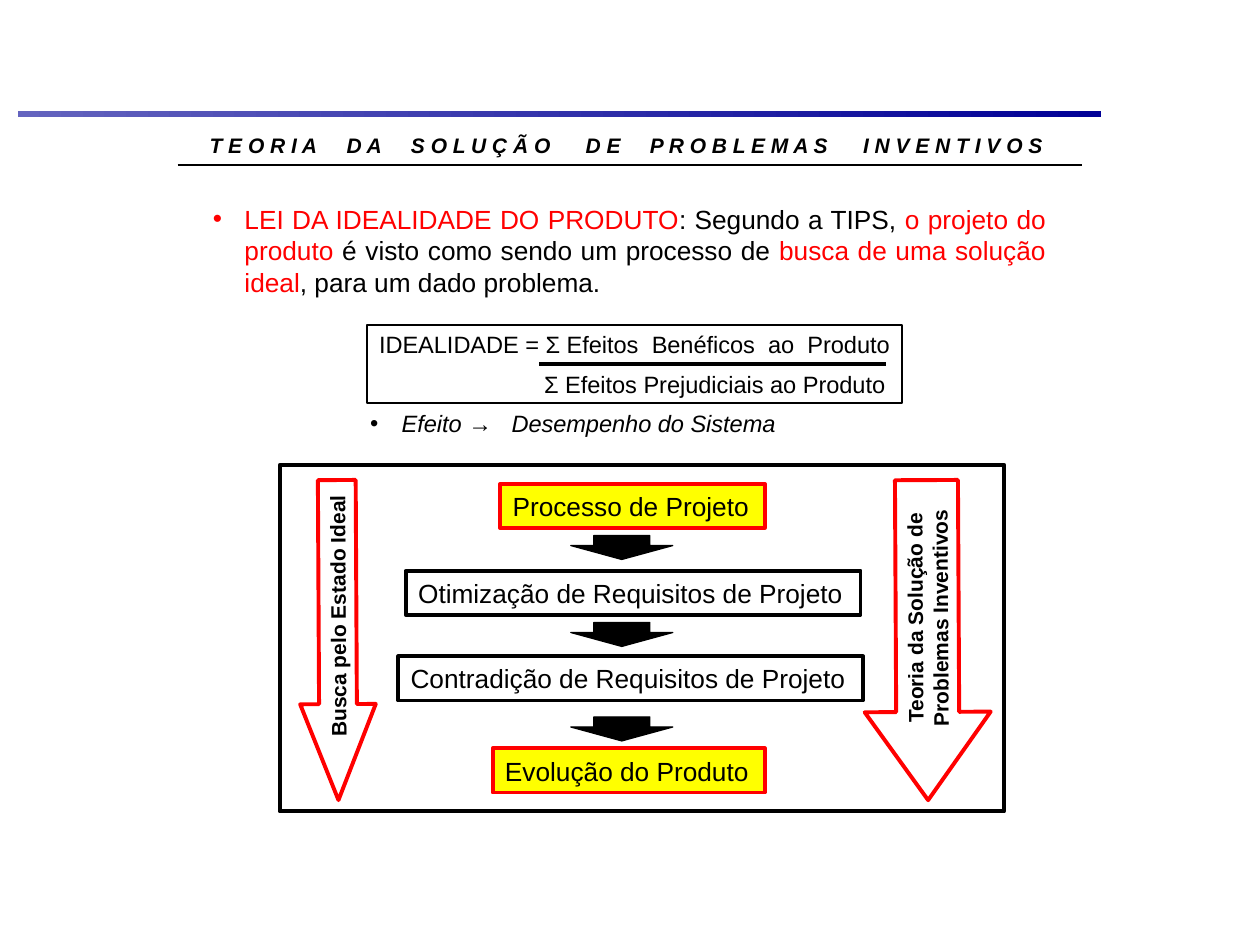
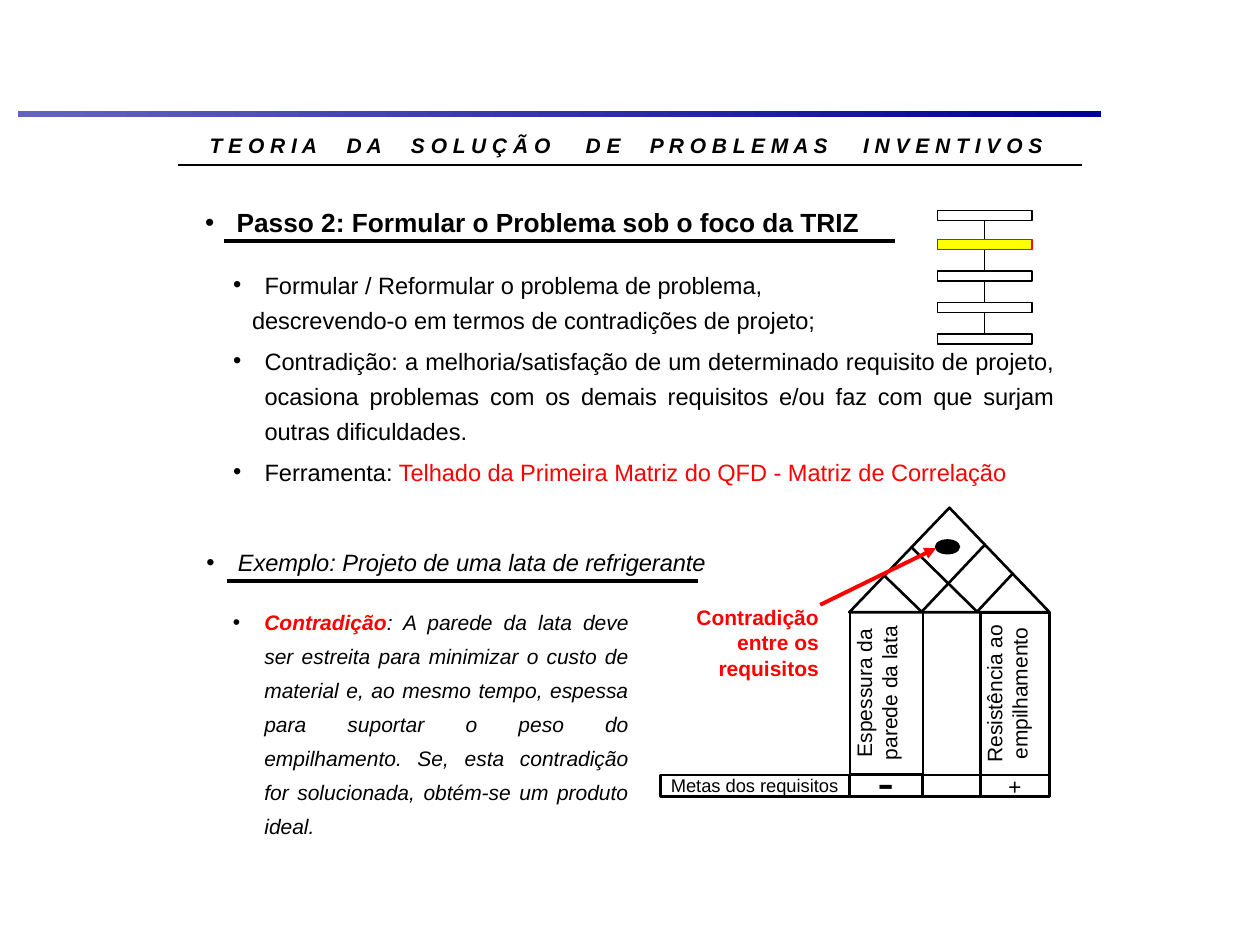
"""Build two slides on the theory of inventive problem solving."""
from lxml import etree
from pptx import Presentation
from pptx import util as u
from pptx.dml import color
from pptx.enum import shapes, text
from pptx.oxml import ns

BLACK, WHITE, RED, YELLOW = "000000", "FFFFFF", "FF0000", "FFFF00"
BAND_START, BAND_END = "6464BF", "000096"
LEFT, CENTER = text.PP_ALIGN.LEFT, text.PP_ALIGN.CENTER
RIGHT, JUSTIFY = text.PP_ALIGN.RIGHT, text.PP_ALIGN.JUSTIFY
TOP, MIDDLE = text.MSO_ANCHOR.TOP, text.MSO_ANCHOR.MIDDLE
SHAPE = shapes.MSO_SHAPE
FULL_INSETS, THIN_INSETS = (0.1, 0.05), (0.01, 0.01)
TITLE_WORDS = ["TEORIA", "DA", "SOLUÇÃO", "DE", "PROBLEMAS", "INVENTIVOS"]
TITLE_GAPS = [13.3, 13.3, 16.7, 13.3, 16.7]


def rgb(value):
    return color.RGBColor.from_string(value)


def inches(*values):
    return [u.Inches(value) for value in values]


def place(shape, box):
    shape.left, shape.top, shape.width, shape.height = inches(*box)


def set_bullet(paragraph, bullet, margin, indent, bullet_color=None):
    """Indent the paragraph and give it a bullet, or none."""
    properties = paragraph._p.get_or_add_pPr()
    properties.set("marL", str(u.Inches(margin)))
    properties.set("indent", str(u.Inches(indent)))
    if not bullet:
        etree.SubElement(properties, ns.qn("a:buNone"))
        return
    if bullet_color:
        holder = etree.SubElement(properties, ns.qn("a:buClr"))
        etree.SubElement(holder, ns.qn("a:srgbClr"), val=bullet_color)
    etree.SubElement(properties, ns.qn("a:buFont"), typeface="Arial")
    etree.SubElement(properties, ns.qn("a:buChar"), char=bullet)


def style(paragraph, size, font_color=BLACK, bold=False, italic=False,
          align=LEFT, name="Arial", spacing=None, before=0):
    paragraph.alignment = align
    paragraph.space_before = u.Pt(before)
    if spacing:
        paragraph.line_spacing = spacing
    font = paragraph.font
    font.name, font.size, font.bold, font.italic = name, u.Pt(size), bold, italic
    font.color.rgb = rgb(font_color)


def write_runs(paragraph, runs):
    """Write plain text, or (text, colour) pairs."""
    if isinstance(runs, str):
        paragraph.add_run().text = runs
        return
    for content, run_color in runs:
        run = paragraph.add_run()
        run.text = content
        run.font.color.rgb = rgb(run_color)


def write_spread(paragraph, words, gaps):
    """Write words whose separating spaces are widened by the gaps in points."""
    for index, word in enumerate(words):
        if index:
            space = paragraph.add_run()
            space.text = " "
            space._r.get_or_add_rPr().set("spc", str(round(gaps[index - 1] * 100)))
        paragraph.add_run().text = word


def write_bullet(paragraph, runs, size, bullet="•", margin=0.25, indent=-0.25,
                 bullet_color=None, **options):
    set_bullet(paragraph, bullet, margin, indent, bullet_color)
    style(paragraph, size, align=JUSTIFY, **options)
    write_runs(paragraph, runs)


def set_frame(shape, insets=FULL_INSETS, anchor=TOP, wrap=True):
    frame = shape.text_frame
    frame.auto_size = text.MSO_AUTO_SIZE.NONE
    frame.word_wrap = wrap
    frame.vertical_anchor = anchor
    frame.margin_left = frame.margin_right = u.Inches(insets[0])
    frame.margin_top = frame.margin_bottom = u.Inches(insets[1])
    return frame


def add_text(slide, box, insets=FULL_INSETS, wrap=True):
    """Add an empty text box and return its frame."""
    return set_frame(slide.shapes.add_textbox(*inches(*box)), insets, wrap=wrap)


def add_bullet_text(slide, box, runs, size, **options):
    write_bullet(add_text(slide, box).paragraphs[0], runs, size, **options)


def add_shape(slide, box, kind=SHAPE.RECTANGLE, fill=WHITE, line=BLACK,
              width=1.5, rotation=0, adjustments=()):
    shape = slide.shapes.add_shape(kind, *inches(*box))
    shape.shadow.inherit = False
    shape.rotation = rotation
    for index, value in enumerate(adjustments):
        shape.adjustments[index] = value
    if fill:
        shape.fill.solid()
        shape.fill.fore_color.rgb = rgb(fill)
    else:
        shape.fill.background()
    if line:
        shape.line.color.rgb = rgb(line)
        shape.line.width = u.Pt(width)
    else:
        shape.line.fill.background()
    return shape


def add_label(shape, content, size, insets=FULL_INSETS, anchor=MIDDLE,
              wrap=True, **options):
    paragraph = set_frame(shape, insets, anchor, wrap).paragraphs[0]
    style(paragraph, size, **options)
    write_runs(paragraph, content)


def add_line(slide, start, end, width=1.5, line_color=BLACK, arrow=False):
    line = slide.shapes.add_connector(
        shapes.MSO_CONNECTOR.STRAIGHT, *inches(*start, *end))
    line.line.color.rgb = rgb(line_color)
    line.line.width = u.Pt(width)
    properties = line._element.spPr
    if arrow:
        etree.SubElement(properties.find(ns.qn("a:ln")), ns.qn("a:tailEnd"),
                         type="triangle")
    etree.SubElement(properties, ns.qn("a:effectLst"))
    return line


def add_frame_to_layout(slide):
    """Put the gradient band and the title rule on the slide's layout."""
    band = add_shape(slide, (0.14, 0.88, 8.6, 0.05), line=None)
    band.fill.gradient()
    band.fill.gradient_angle = 0
    for stop, stop_color in zip(band.fill.gradient_stops, (BAND_START, BAND_END)):
        stop.color.rgb = rgb(stop_color)
    rule = add_line(slide, (1.41, 1.31), (8.59, 1.31), 0.75)
    for number, shape in enumerate((band, rule), 101):
        shape._element.xpath(".//p:cNvPr")[0].set("id", str(number))
        slide.slide_layout.shapes._spTree.append(shape._element)


def add_slide(presentation, body_box):
    """Add a slide with its title and return it with the body frame."""
    slide = presentation.slides.add_slide(presentation.slide_layouts[1])
    title, body = slide.shapes.title, slide.placeholders[1]
    place(title, (1.47, 1, 7, 0.3))
    place(body, body_box)
    paragraph = set_frame(title).paragraphs[0]
    style(paragraph, 12, bold=True, italic=True, align=CENTER)
    write_spread(paragraph, [" ".join(word) for word in TITLE_WORDS], TITLE_GAPS)
    return slide, set_frame(body)


def add_ideality_formula(slide):
    numerator = add_text(slide, (2.91, 2.57, 4.31, 0.33), wrap=False).paragraphs[0]
    style(numerator, 13.5)
    write_spread(numerator, ["IDEALIDADE = Σ Efeitos", "Benéficos", "ao", "Produto"],
                 [3.75] * 3)
    denominator = add_text(slide, (4.22, 2.89, 2.94, 0.33)).paragraphs[0]
    style(denominator, 13.5)
    write_runs(denominator, "Σ Efeitos Prejudiciais ao Produto")
    add_line(slide, (4.28, 2.89), (7.03, 2.89), 2.25)
    add_shape(slide, (2.91, 2.58, 4.25, 0.62), fill=None, width=1)
    effect = add_text(slide, (2.84, 3.2, 4, 0.33)).paragraphs[0]
    set_bullet(effect, "•", 0.25, -0.25)
    style(effect, 13.5, italic=True, align=JUSTIFY)
    write_spread(effect, ["Efeito →", "Desempenho do Sistema"], [7.5])


def add_design_process(slide):
    """Draw the framed flow of design steps between two long arrows."""
    add_shape(slide, (2.22, 3.69, 5.75, 2.75), width=2.25)
    steps = [
        ("Processo de Projeto", 3.97, 3.84, 2.1, YELLOW, RED),
        ("Otimização de Requisitos de Projeto", 3.22, 4.53, 3.61, WHITE, BLACK),
        ("Contradição de Requisitos de Projeto", 3.16, 5.21, 3.69, WHITE, BLACK),
        ("Evolução do Produto", 3.91, 5.94, 2.16, YELLOW, RED),
    ]
    for content, left, top, width, fill, line in steps:
        step = add_shape(slide, (left, top, width, 0.35), fill=fill, line=line,
                         width=2.25)
        add_label(step, content, 15, wrap=False)
    long_arrows = [
        ("Busca pelo Estado Ideal", (1.41, 4.78, 2.54, 0.6), 1.27),
        ("Teoria da Solução de Problemas Inventivos", (6.09, 4.58, 2.54, 1), 0.7),
    ]
    for content, box, head in long_arrows:
        arrow = add_shape(slide, box, SHAPE.LEFT_ARROW, line=RED, width=2.25,
                          rotation=269.7, adjustments=(0.5, head))
        add_label(arrow, content, 12, bold=True, align=CENTER)
    for top in (4.25, 4.94, 5.69):
        add_shape(slide, (4.53, top, 0.81, 0.19), SHAPE.DOWN_ARROW, fill=BLACK,
                  width=0.75, adjustments=(0.55, 0.58))


def add_step_tracker(slide):
    """Draw the five linked steps with the second one highlighted."""
    link = add_line(slide, (7.81, 1.75), (7.81, 2.65), 0.75)
    colors = [(None, BLACK), (YELLOW, RED)] + [(WHITE, BLACK)] * 3
    tops = [1.67] + [1.9 + 0.25 * index for index in range(4)]
    steps = [add_shape(slide, (7.44, top, 0.75, 0.08), fill=fill, line=line, width=1)
             for top, (fill, line) in zip(tops, colors)]
    link.begin_connect(steps[0], 2)
    link.end_connect(steps[-1], 0)


def add_correlation_roof(slide):
    """Draw the correlation matrix with its requirement columns and targets."""
    columns = [
        ("Espessura da parede da lata", (6.39, 5.21, 1.29, 0.58)),
        ("Resistência ao empilhamento", (7.41, 5.23, 1.29, 0.55)),
    ]
    for content, box in columns:
        column = add_shape(slide, box, rotation=270)
        add_label(column, content, 12, THIN_INSETS, TOP, align=CENTER)
    add_shape(slide, (6.74, 4.03, 1.59, 0.83), SHAPE.ISOSCELES_TRIANGLE)
    for start, end in [((7.32, 4.85), (7.82, 4.32)), ((7.75, 4.86), (8.04, 4.55)),
                       ((7.75, 4.85), (7.24, 4.35)), ((7.32, 4.86), (7.02, 4.57))]:
        add_line(slide, start, end)
    targets = [
        ("Metas dos requisitos", 5.24, 1.5, dict(size=10.5)),
        ("-", 6.74, 0.58,
         dict(size=27, name="Times New Roman", bold=True, spacing=0.75)),
        ("", 7.32, 0.5, None),
        ("+", 7.78, 0.55, dict(size=13.5, name="Times New Roman", bold=True)),
    ]
    for content, left, width, options in targets:
        target = add_shape(slide, (left, 6.15, width, 0.17))
        if content:
            add_label(target, content, insets=THIN_INSETS, align=CENTER, **options)
    add_shape(slide, (7.43, 4.29, 0.18, 0.1), SHAPE.OVAL, fill=BLACK)
    add_line(slide, (6.51, 4.8), (7.43, 4.35), 2.25, RED, arrow=True)
    frame = add_text(slide, (5.41, 4.8, 1.1, 0.47), (0.01, 0))
    for index, content in enumerate(("Contradição", "entre os", "requisitos")):
        paragraph = frame.add_paragraph() if index else frame.paragraphs[0]
        style(paragraph, 12, RED, bold=True, align=RIGHT)
        write_runs(paragraph, content)


def build_ideality_slide(presentation):
    slide, body = add_slide(presentation, (1.59, 1.56, 6.81, 0.86))
    add_frame_to_layout(slide)
    write_bullet(body.paragraphs[0], [
        ("LEI DA IDEALIDADE DO PRODUTO", RED), (": Segundo a TIPS, ", BLACK),
        ("o projeto do produto", RED),
        (" é visto como sendo um processo de ", BLACK),
        ("busca de uma solução ideal", RED), (", para um dado problema.", BLACK)], 15)
    add_ideality_formula(slide)
    add_design_process(slide)


def build_contradiction_slide(presentation):
    slide, body = add_slide(presentation, (1.75, 2.04, 6.72, 1.8))
    add_step_tracker(slide)
    add_bullet_text(slide, (1.53, 1.59, 5.71, 0.35),
                    "Passo 2: Formular o Problema sob o foco da TRIZ", 15, bold=True)
    add_line(slide, (1.78, 1.91), (7.1, 1.91), 2.25)
    items = [
        ("Formular / Reformular o problema de problema,", {}),
        ("descrevendo-o em termos de contradições de projeto;",
         dict(bullet=None, margin=0.15, indent=0)),
        ("Contradição: a melhoria/satisfação de um determinado requisito de projeto, "
         "ocasiona problemas com os demais requisitos e/ou faz com que surjam outras "
         "dificuldades.", dict(before=3)),
        ([("Ferramenta:", BLACK),
          (" Telhado da Primeira Matriz do QFD - Matriz de Correlação", RED)],
         dict(before=3)),
    ]
    for index, (runs, options) in enumerate(items):
        paragraph = body.add_paragraph() if index else body.paragraphs[0]
        write_bullet(paragraph, runs, 13.5, spacing=1.25, **options)
    add_bullet_text(slide, (1.54, 4.3, 5.06, 0.33),
                    "Exemplo: Projeto de uma lata de refrigerante", 13.5, italic=True)
    add_line(slide, (1.8, 4.61), (5.54, 4.61), 2.25)
    add_correlation_roof(slide)
    example = add_text(slide, (1.75, 4.72, 3.34, 1.91)).paragraphs[0]
    write_bullet(example, [
        ("Contradição", RED),
        (": A parede da lata deve ser estreita para minimizar o custo de material e, "
         "ao mesmo tempo, espessa para suportar o peso do empilhamento. Se, esta "
         "contradição for solucionada, obtém-se um produto ideal.", BLACK)],
        12, bullet_color=BLACK, italic=True, spacing=1.35)
    example.runs[0].font.bold = True


def main():
    presentation = Presentation()
    presentation.slide_width, presentation.slide_height = inches(10, 7.5)
    build_ideality_slide(presentation)
    build_contradiction_slide(presentation)
    presentation.save("out.pptx")


if __name__ == "__main__":
    main()
